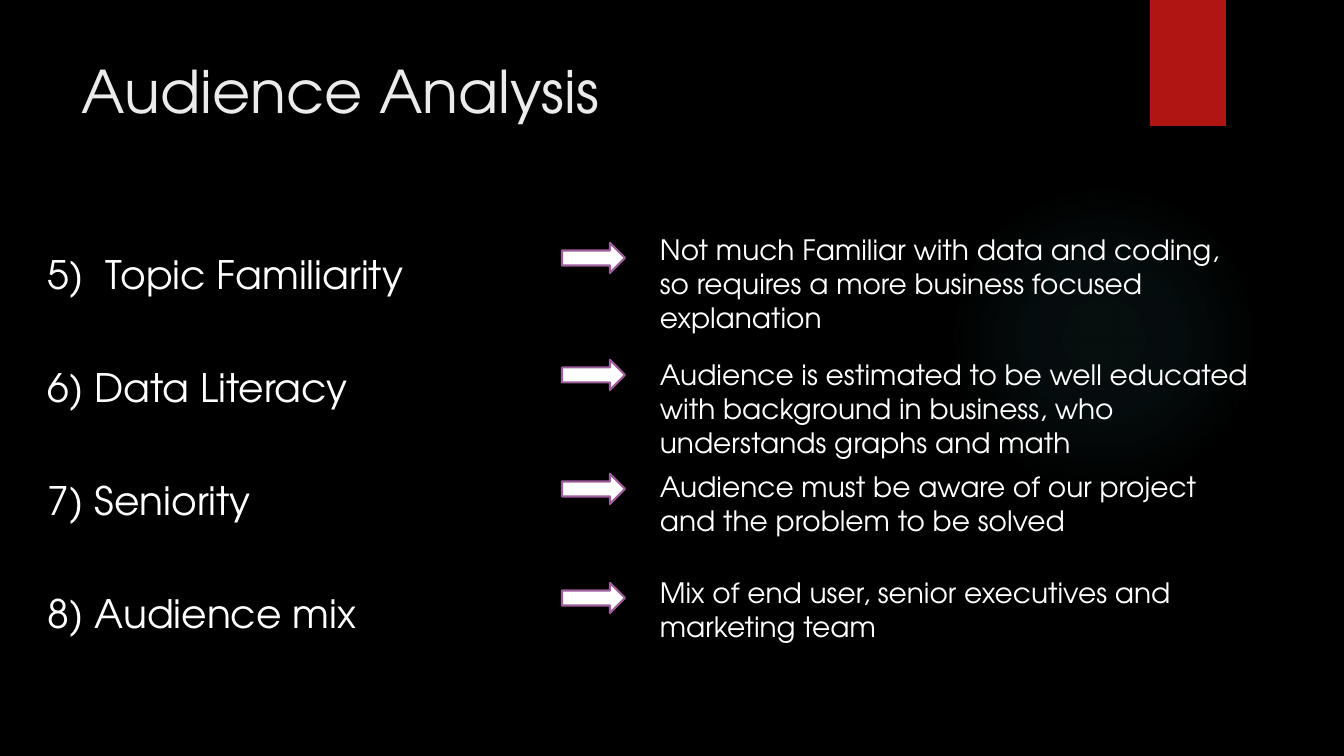
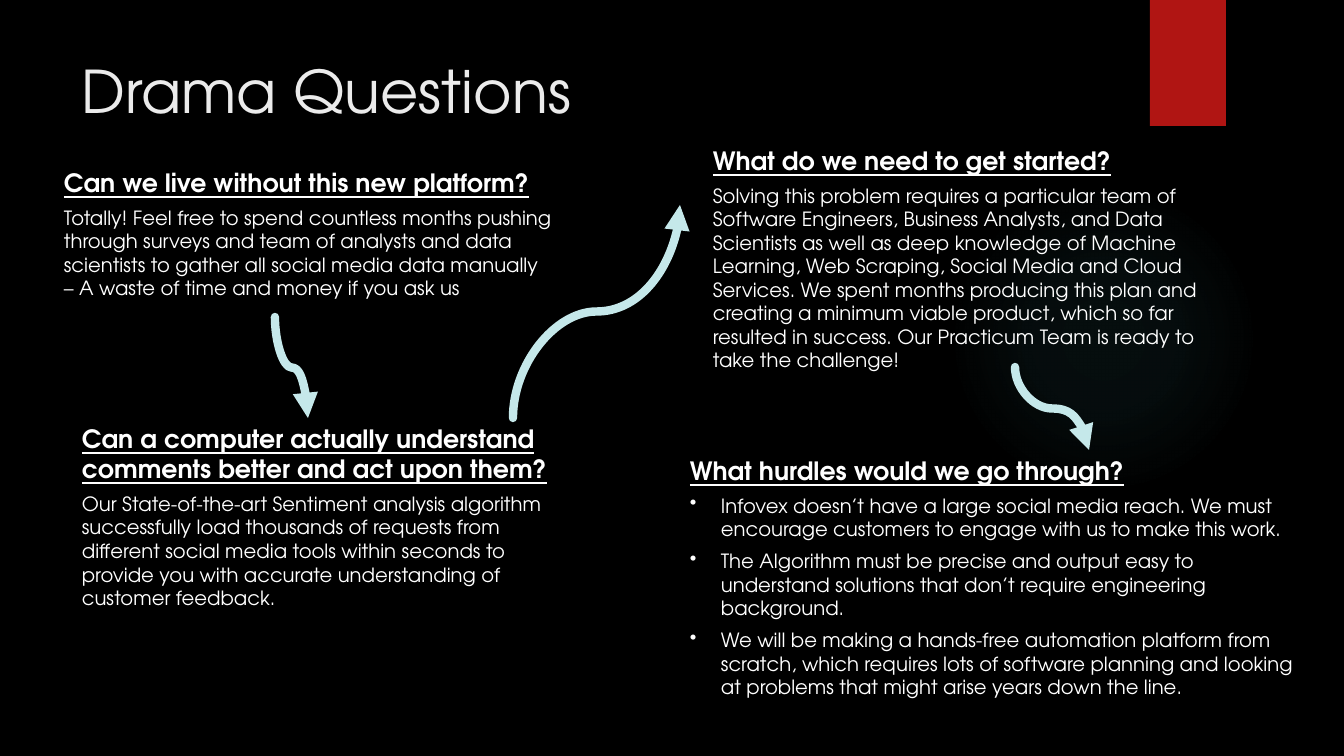
from lxml import etree
from pptx import Presentation
from pptx.dml.color import RGBColor
from pptx.enum.shapes import MSO_CONNECTOR, MSO_SHAPE
from pptx.enum.text import MSO_AUTO_SIZE
from pptx.oxml import parse_xml
from pptx.oxml.ns import nsdecls, qn
from pptx.util import Emu, Pt

OVAL = MSO_SHAPE.OVAL
RECTANGLE = MSO_SHAPE.RECTANGLE
RIGHT_ARROW = MSO_SHAPE.RIGHT_ARROW
CURVE = MSO_CONNECTOR.CURVE
FIT_SHAPE = MSO_AUTO_SIZE.SHAPE_TO_FIT_TEXT

FONT = "TeX Gyre Adventor"
COLOURS = {
    "background": "000000",
    "title": "EBEBEB",
    "text": "FFFFFF",
    "tab": "B01513",
    "glow": "50B9C1",
    "arrow_line": "9E5E9B",
    "curve": "C5E8EA",
}
RGB = {name: RGBColor.from_string(value) for name, value in COLOURS.items()}
PX_PER_INCH = 100.8
INDENT = 31


def px(*lengths):
    """Turn px lengths into a list of EMU lengths."""
    return [Emu(round(length * 914400 / PX_PER_INCH)) for length in lengths]


def write(frame, text, size=14, colour="text", bold=False, underline=False,
          before=0, after=0, spacing=None, bullet=False):
    """Add one formatted paragraph, using the empty first one if it is free."""
    frame.word_wrap = True
    first = frame.paragraphs[0]
    paragraph = frame.add_paragraph() if first.runs else first
    paragraph.space_before, paragraph.space_after = Pt(before), Pt(after)
    paragraph.line_spacing = spacing
    run = paragraph.add_run()
    run.text = text
    run.font.name, run.font.size = FONT, Pt(size)
    run.font.bold, run.font.underline = bold, underline
    run.font.color.rgb = RGB[colour]
    if bullet:
        indent = px(INDENT)[0]
        properties = paragraph._p.get_or_add_pPr()
        properties.set("marL", str(indent))
        properties.set("indent", str(-indent))
        etree.SubElement(properties, qn("a:buChar")).set("char", "•")


presentation = Presentation()
presentation.slide_width, presentation.slide_height = px(1344, 756)
blank_layout = presentation.slide_layouts[6]

# Shared look: background, glow, red tab and title
GLOW_STOPS = [(0, 7), (36, 6), (69, 0)]  # position and opacity in percent
stops = "".join(
    f'<a:gs pos="{position * 1000}"><a:srgbClr val="{COLOURS["glow"]}">'
    f'<a:alpha val="{opacity * 1000}"/></a:srgbClr></a:gs>'
    for position, opacity in GLOW_STOPS)
GLOW_FILL = (
    f'<a:gradFill {nsdecls("a")}><a:gsLst>{stops}</a:gsLst><a:path path="circle">'
    '<a:fillToRect l="50000" t="50000" r="50000" b="50000"/></a:path></a:gradFill>')

slides = []
for title in ("Audience Analysis", "Drama Questions"):
    slide = presentation.slides.add_slide(blank_layout)
    slide.background.fill.solid()
    slide.background.fill.fore_color.rgb = RGB["background"]

    glow = slide.shapes.add_shape(OVAL, *px(949, 184, 310, 310))
    glow.shadow.inherit = False
    glow.line.fill.background()
    glow.fill.background()
    properties = glow.element.spPr
    properties.replace(properties.find(qn("a:noFill")), parse_xml(GLOW_FILL))

    tab = slide.shapes.add_shape(RECTANGLE, *px(1150, 0, 76, 126))
    tab.shadow.inherit = False
    tab.line.fill.background()
    tab.fill.solid()
    tab.fill.fore_color.rgb = RGB["tab"]

    title_box = slide.shapes.add_textbox(*px(72, 50, 1037, 154))
    write(title_box.text_frame, title, size=42, colour="title")
    slides.append(slide)
audience_slide, drama_slide = slides

# Audience Analysis: numbered topics, arrows and findings
# Each row: topic, arrow top, finding top, finding height, finding
TOPICS = [
    ("5)  Topic Familiarity", 243, 228, 112,
     "Not much Familiar with data and coding, so requires a more business "
     "focused explanation"),
    ("6) Data Literacy", 360, 353, 112,
     "Audience is estimated to be well educated with background in business, "
     "who understands graphs and math"),
    ("7) Seniority", 474, 465, 78,
     "Audience must be aware of our project and the problem to be solved"),
    ("8) Audience mix", 583, 571, 78,
     "Mix of end user, senior executives and marketing team"),
]
topic_box = audience_slide.shapes.add_textbox(*px(38, 194, 523, 451))
for topic, arrow_top, finding_top, finding_height, finding in TOPICS:
    write(topic_box.text_frame, topic, size=28, before=10, spacing=2.1)

    arrow = audience_slide.shapes.add_shape(RIGHT_ARROW, *px(562, arrow_top, 63, 30))
    arrow.shadow.inherit = False
    arrow.fill.solid()
    arrow.fill.fore_color.rgb = RGB["text"]
    arrow.line.color.rgb = RGB["arrow_line"]
    arrow.line.width = Pt(1.5)

    finding_box = audience_slide.shapes.add_textbox(
        *px(650, finding_top, 609, finding_height))
    write(finding_box.text_frame, finding, size=20)
    finding_box.text_frame.auto_size = FIT_SHAPE

# Drama Questions: four questions with their answers
# Each row: box, question, answers, space after an answer, bulleted
QUESTIONS = [
    ((54, 162, 509, 144), "Can we live without this new platform?",
     ["Totally! Feel free to spend countless months pushing through surveys and "
      "team of analysts and data scientists to gather all social media data manually",
      "– A waste of time and money if you ask us"], 0, False),
    ((72, 418, 502, 199),
     "Can a computer actually understand comments better and act upon them?",
     ["Our State-of-the-art Sentiment analysis algorithm successfully load "
      "thousands of requests from different social media tools within seconds to "
      "provide you with accurate understanding of customer feedback."], 6, False),
    ((703, 140, 538, 239), "What do we need to get started?",
     ["Solving this problem requires a particular team of Software Engineers, "
      "Business Analysts, and Data Scientists as well as deep knowledge of Machine "
      "Learning, Web Scraping, Social Media and Cloud Services. We spent months "
      "producing this plan and creating a minimum viable product, which so far "
      "resulted in success. Our Practicum Team is ready to take the challenge!"],
     6, False),
    ((680, 450, 632, 256), "What hurdles would we go through?",
     ["Infovex doesn’t have a large social media reach. We must encourage "
      "customers to engage with us to make this work.",
      "The Algorithm must be precise and output easy to understand solutions that "
      "don’t require engineering background.",
      "We will be making a hands-free automation platform from scratch, which "
      "requires lots of software planning and looking at problems that might arise "
      "years down the line."], 6, True),
]
for box, question, answers, after, bulleted in QUESTIONS:
    question_box = drama_slide.shapes.add_textbox(*px(*box))
    frame = question_box.text_frame
    write(frame, question, size=18, bold=True, underline=True, after=6)
    for answer in answers:
        write(frame, answer, after=after, bullet=bulleted)
    frame.auto_size = FIT_SHAPE

# Curved arrows leave and arrive vertically, so each is a quarter-turned curve
# Each row: start, end, turn (1 clockwise, -1 anticlockwise)
CURVES = [
    ((275, 317), (308, 418), -1),
    ((513, 418), (680, 205), 1),
    ((1015, 367), (1089, 450), -1),
]
for (start_x, start_y), (end_x, end_y), turn in CURVES:
    middle_x, middle_y = (start_x + end_x) / 2, (start_y + end_y) / 2
    across = turn * (end_y - start_y) / 2
    down = turn * (start_x - end_x) / 2
    curve = drama_slide.shapes.add_connector(
        CURVE, *px(middle_x - across, middle_y - down,
                   middle_x + across, middle_y + down))
    curve.line.color.rgb = RGB["curve"]
    curve.line.width = Pt(6)
    properties = curve.element.spPr
    properties.xfrm.set("rot", str(turn % 4 * 90 * 60000))
    line = curve.line._get_or_add_ln()
    line.set("cap", "rnd")
    etree.SubElement(line, qn("a:tailEnd")).set("type", "triangle")
    etree.SubElement(properties, qn("a:effectLst"))

presentation.save("out.pptx")
